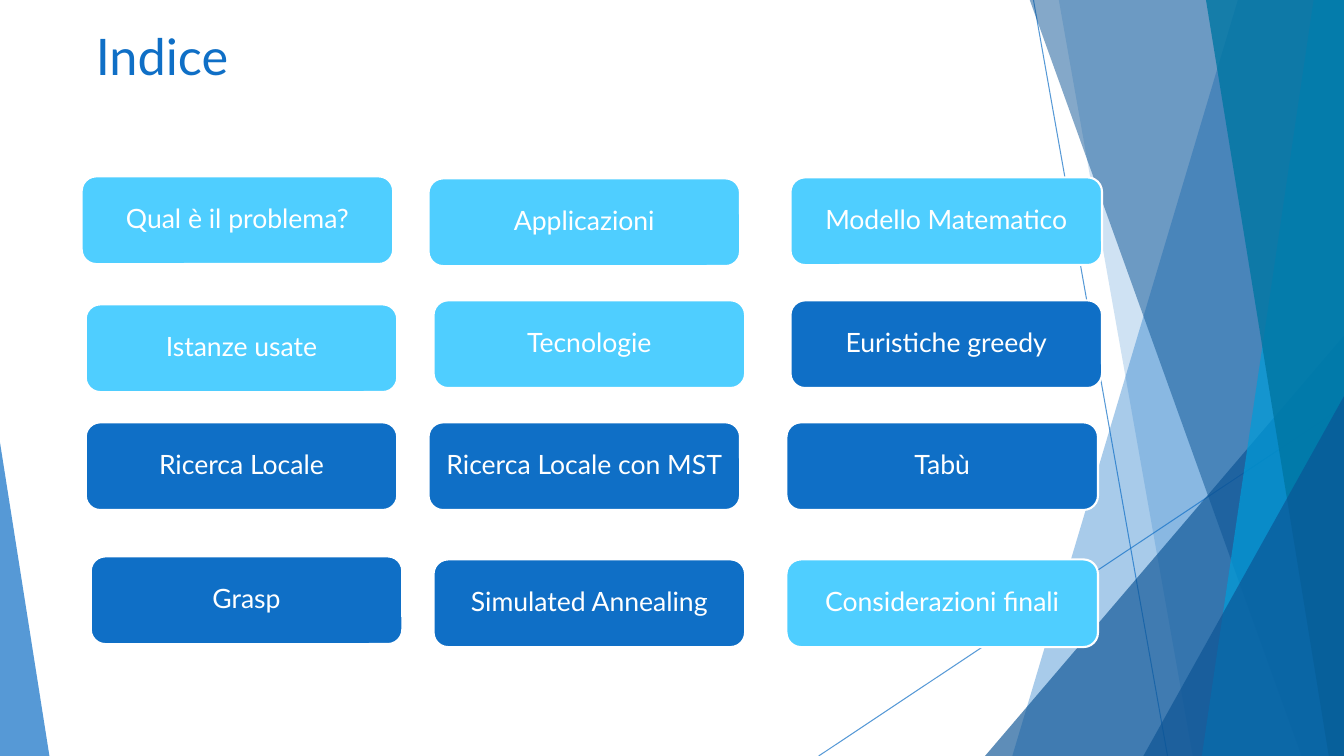
"""Builds the index slide: a title, twelve topic tiles and a faceted backdrop."""
from dataclasses import dataclass

import pptx
import pptx.dml.color
import pptx.enum.shapes
import pptx.enum.text
import pptx.oxml
import pptx.oxml.ns
import pptx.util

SHAPE = pptx.enum.shapes.MSO_SHAPE
ALIGN = pptx.enum.text.PP_ALIGN
ANCHOR = pptx.enum.text.MSO_ANCHOR
EMU_PER_PX = 9144
SLIDE_W, SLIDE_H = 1333, 750
TILE_W, TILE_H = 309, 87


@dataclass(frozen=True)
class Theme:
    """Colours, font and type sizes of the slide."""
    blue: str = "0F6FC6"
    navy: str = "0B5394"
    cyan: str = "009DD9"
    teal: str = "0076A3"
    sky: str = "4FCEFF"
    white: str = "FFFFFF"
    font: str = "Lato"
    title_pt: int = 36
    tile_pt: int = 19
    border_pt: float = 1.5
    hairline_pt: float = 0.75


THEME = Theme()

RAYS = [(1025, 0, 1158, 750), (1333, 403, 812, 750)]

FACETS = [
    ((1228, 1333, 1333, 1004), THEME.blue, 36),
    ((1050, 1333, 1333, 1183), THEME.blue, 20),
    ((977, 333, 356, 1), THEME.navy, 66),
    ((1021, 1333, 1333, 1291), THEME.navy, 50),
    ((1303, 1333, 1333, 1192), THEME.cyan, 70),
    ((1196, 1333, 1333, 1318), THEME.teal, 80),
    ((1134, 393, 199, 1), THEME.navy, 66),
    ((0, 439, 49, 0), THEME.blue, 70),
]
WEDGE_HEIGHTS = {333: 417, 393: 357, 439: 311}

TOPICS = [
    ("Qual è il problema?", 81, 175, THEME.sky),
    ("Applicazioni", 425, 177, THEME.sky),
    ("Modello Matematico", 784, 176, THEME.sky),
    ("Istanze usate", 85, 302, THEME.sky),
    ("Tecnologie", 430, 298, THEME.sky),
    ("Euristiche greedy", 784, 298, THEME.blue),
    ("Ricerca Locale", 85, 419, THEME.blue),
    ("Ricerca Locale con MST", 425, 419, THEME.blue),
    ("Tabù", 780, 419, THEME.blue),
    ("Grasp", 90, 552, THEME.blue),
    ("Simulated Annealing", 430, 555, THEME.blue),
    ("Considerazioni finali", 780, 555, THEME.sky),
]


def px(length):
    """Turn px into EMU."""
    return pptx.util.Emu(length * EMU_PER_PX)


def rgb(colour):
    """Turn a hex string into a colour."""
    return pptx.dml.color.RGBColor.from_string(colour)


def set_alpha(element, percent):
    """Set the opacity of the first solid colour inside an element."""
    colour = next(element.iter(pptx.oxml.ns.qn("a:srgbClr")))
    alpha = colour.makeelement(pptx.oxml.ns.qn("a:alpha"), {"val": str(percent * 1000)})
    colour.append(alpha)


def paint(shape, colour):
    """Give a shape a flat fill without shadow."""
    shape.shadow.inherit = False
    shape.fill.solid()
    shape.fill.fore_color.rgb = rgb(colour)


def paint_facet(facet, colour, opacity):
    """Give a backdrop facet a translucent fill without outline."""
    paint(facet, colour)
    facet.line.fill.background()
    set_alpha(facet.fill._xPr, opacity)


def add_ray(slide, ends):
    """Draw one thin translucent backdrop line."""
    ray = slide.shapes.add_connector(
        pptx.enum.shapes.MSO_CONNECTOR.STRAIGHT, *map(px, ends))
    ray.line.width = pptx.util.Pt(THEME.hairline_pt)
    ray.line.color.rgb = rgb(THEME.blue)
    properties = ray._element.spPr
    set_alpha(properties, 70)
    properties.append(properties.makeelement(pptx.oxml.ns.qn("a:effectLst"), {}))


def add_band(slide, corners, colour, opacity):
    """Draw a full-height band from its top and bottom corner positions."""
    top_left, top_right, bottom_right, bottom_left = corners
    outline = slide.shapes.build_freeform(top_left, -1, scale=EMU_PER_PX)
    outline.add_line_segments(
        [(top_right, -1), (bottom_right, SLIDE_H), (bottom_left, SLIDE_H)])
    paint_facet(outline.convert_to_shape(), colour, opacity)


def add_wedge(slide, placement, colour, opacity):
    """Draw a right-angled wedge standing on the bottom edge."""
    left, top, width, apex = placement
    wedge = slide.shapes.add_shape(
        SHAPE.ISOSCELES_TRIANGLE, px(left), px(top), px(width), px(WEDGE_HEIGHTS[top]))
    wedge.adjustments[0] = apex
    paint_facet(wedge, colour, opacity)


def add_text(paragraph, text, size, colour):
    """Add one formatted run."""
    run = paragraph.add_run()
    run.text = text
    run.font.name = THEME.font
    run.font.size = pptx.util.Pt(size)
    run.font.color.rgb = rgb(colour)


def add_title(slide, text):
    """Place and fill the title placeholder."""
    title = slide.shapes.title
    title.left, title.top, title.width, title.height = map(px, (85, 20, 940, 144))
    frame = title.text_frame
    frame.auto_size = pptx.enum.text.MSO_AUTO_SIZE.NONE
    frame.vertical_anchor = ANCHOR.TOP
    frame.paragraphs[0].alignment = ALIGN.LEFT
    add_text(frame.paragraphs[0], text, THEME.title_pt, THEME.blue)


def add_tile(slide, topic, left, top, colour):
    """Draw one rounded topic tile with its label."""
    tile = slide.shapes.add_shape(
        SHAPE.ROUNDED_RECTANGLE, px(left), px(top), px(TILE_W), px(TILE_H))
    paint(tile, colour)
    tile.line.color.rgb = rgb(THEME.white)
    tile.line.width = pptx.util.Pt(THEME.border_pt)
    frame = tile.text_frame
    frame.word_wrap = True
    frame.vertical_anchor = ANCHOR.MIDDLE
    frame.margin_left = frame.margin_right = px(8)
    frame.margin_top = frame.margin_bottom = px(4)
    label = frame.paragraphs[0]
    label.alignment = ALIGN.CENTER
    label.line_spacing = 0.9
    add_text(label, topic, THEME.tile_pt, THEME.white)


def main():
    """Build and save the slide."""
    deck = pptx.Presentation()
    deck.slide_width, deck.slide_height = px(SLIDE_W), px(SLIDE_H)
    slide = deck.slides.add_slide(deck.slide_layouts.get_by_name("Title Only"))
    for ends in RAYS:
        add_ray(slide, ends)
    for placement, colour, opacity in FACETS:
        draw = add_wedge if placement[1] in WEDGE_HEIGHTS else add_band
        draw(slide, placement, colour, opacity)
    add_title(slide, "Indice")
    for topic in TOPICS:
        add_tile(slide, *topic)
    deck.save("out.pptx")


if __name__ == "__main__":
    main()
